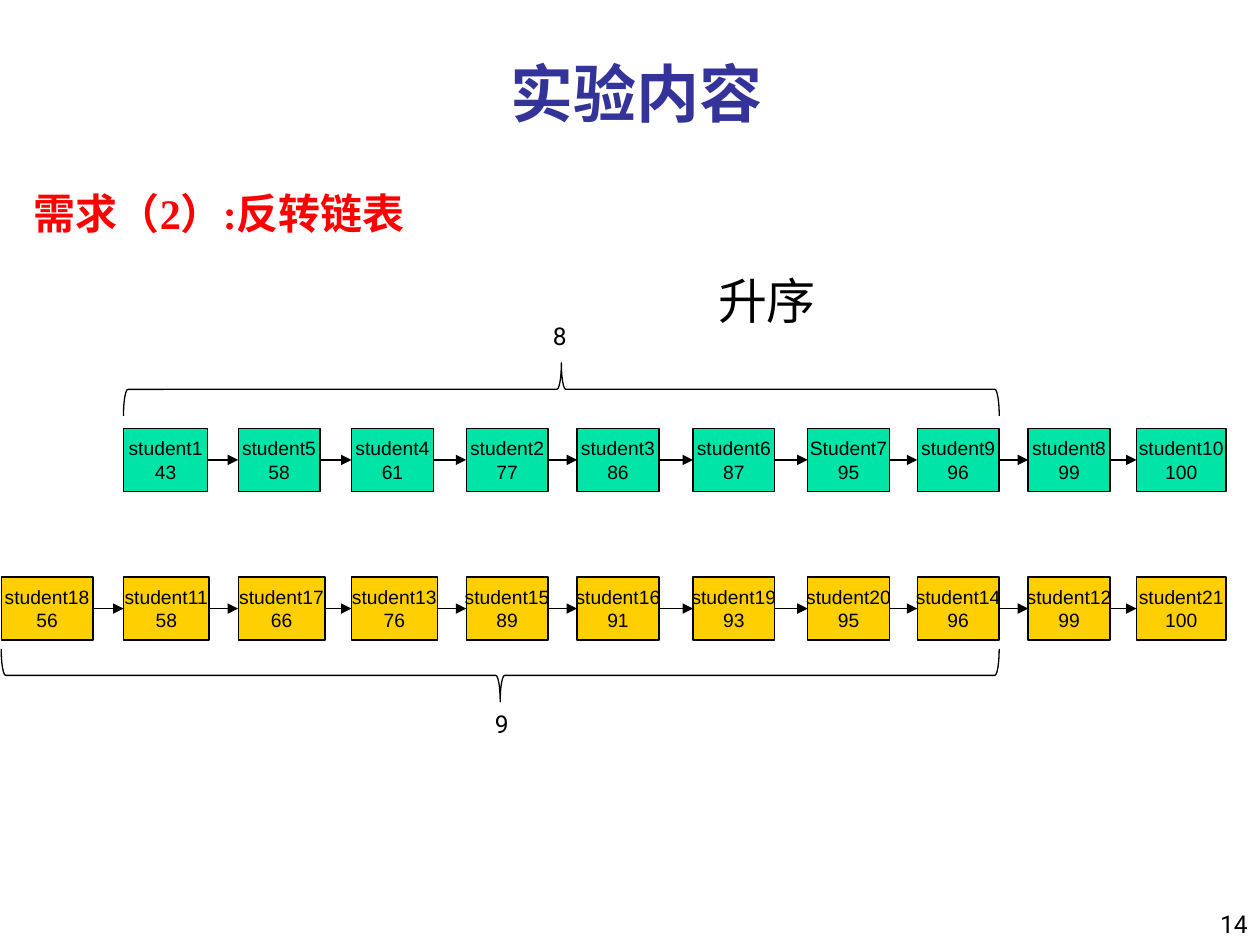
from lxml import etree
from pptx import Presentation
from pptx.dml.color import RGBColor
from pptx.enum.shapes import MSO_CONNECTOR, MSO_SHAPE
from pptx.enum.text import MSO_ANCHOR, MSO_AUTO_SIZE, PP_ALIGN
from pptx.oxml.ns import qn
from pptx.util import Inches, Pt

LEFT, CENTER, RIGHT = PP_ALIGN.LEFT, PP_ALIGN.CENTER, PP_ALIGN.RIGHT
TOP, BOTTOM = MSO_ANCHOR.TOP, MSO_ANCHOR.BOTTOM
LEFT_SIDE, RIGHT_SIDE = 1, 3
BLACK, GREEN, YELLOW = "000000", "00E4A8", "FFCF01"

FIRST_LIST = [
    ("student1", 43), ("student5", 58), ("student4", 61), ("student2", 77),
    ("student3", 86), ("student6", 87), ("Student7", 95), ("student9", 96),
    ("student8", 99), ("student10", 100),
]
SECOND_LIST = [
    ("student18", 56), ("student11", 58), ("student17", 66), ("student13", 76),
    ("student15", 89), ("student16", 91), ("student19", 93), ("student20", 95),
    ("student14", 96), ("student12", 99), ("student21", 100),
]
COLUMNS = [0.01, 0.98, 1.89, 2.79, 3.7, 4.58, 5.5, 6.41, 7.28, 8.16, 9.02]
FIRST_WIDTHS = [0.67] + [0.65] * 8 + [0.71]
SECOND_WIDTHS = [0.73, 0.68, 0.69, 0.68] + [0.65] * 6 + [0.71]
NODE_HEIGHT, BRACE_DEPTH = 0.5, 0.42
BRACE_END = 7.93

# text, (left, top, width, height), size, font, colour, bold, alignment, anchor
LABELS = [
    ("实验内容", (0.83, 0.25, 8.44, 0.83), 36, "Roboto", "333399", True, CENTER, BOTTOM),
    ("需求（2）:反转链表", (0.17, 1.44, 3.53, 0.5), 24, "Times New Roman", "FF0000", True, LEFT, TOP),
    ("8", (4.29, 2.5, 0.64, 0.34), 14, "Roboto", BLACK, False, LEFT, TOP),
    ("9", (3.83, 5.58, 0.64, 0.34), 14, "Roboto", BLACK, False, LEFT, TOP),
    ("14", (7.92, 7, 2.08, 0.5), 14, "Roboto", BLACK, False, RIGHT, BOTTOM),
    ("升序", (5.6, 2.1, 1.35, 0.57), 28, "Noto Sans CJK SC", BLACK, False, LEFT, TOP),
]


def rgb(code):
    return RGBColor.from_string(code)


def write(frame, text, size, font, color, bold=False, align=CENTER):
    frame.text = text
    for paragraph in frame.paragraphs:
        paragraph.alignment = align
        for run in paragraph.runs:
            run.font.size = Pt(size)
            run.font.name = font
            run.font.bold = bold
            run.font.color.rgb = rgb(color)


def outline(shape):
    shape.line.color.rgb = rgb(BLACK)
    shape.line.width = Pt(0.75)


def add_node(slide, left, top, width, student, score, fill):
    node = slide.shapes.add_shape(
        MSO_SHAPE.RECTANGLE, Inches(left), Inches(top), Inches(width), Inches(NODE_HEIGHT))
    node.shadow.inherit = False
    node.fill.solid()
    node.fill.fore_color.rgb = rgb(fill)
    outline(node)
    node.text_frame.word_wrap = False
    write(node.text_frame, f"{student}\n{score}", 11, "Arial", BLACK)
    return node


def add_link(slide, source, target):
    link = slide.shapes.add_connector(MSO_CONNECTOR.STRAIGHT, 0, 0, 0, 0)
    link.begin_connect(source, RIGHT_SIDE)
    link.end_connect(target, LEFT_SIDE)
    outline(link)
    etree.SubElement(link.line._get_or_add_ln(), qn("a:tailEnd"), type="triangle")
    etree.SubElement(link._element.spPr, qn("a:effectLst"))


def add_linked_list(slide, students, columns, widths, top, fill):
    nodes = [add_node(slide, left, top, width, *student, fill)
             for student, left, width in zip(students, columns, widths)]
    for source, target in zip(nodes, nodes[1:]):
        add_link(slide, source, target)


def add_brace(slide, start, end, middle, rotation):
    """Draw a brace lying on its side from start to end, centred on height middle."""
    span = end - start
    brace = slide.shapes.add_shape(
        MSO_SHAPE.LEFT_BRACE,
        Inches((start + end - BRACE_DEPTH) / 2), Inches(middle - span / 2),
        Inches(BRACE_DEPTH), Inches(span))
    brace.rotation = rotation
    brace.shadow.inherit = False
    brace.fill.background()
    outline(brace)


def add_label(slide, text, box, size, font, color, bold, align, anchor):
    frame = slide.shapes.add_textbox(*map(Inches, box)).text_frame
    frame.word_wrap = True
    frame.vertical_anchor = anchor
    if anchor == TOP:
        frame.auto_size = MSO_AUTO_SIZE.SHAPE_TO_FIT_TEXT
    write(frame, text, size, font, color, bold, align)


def main():
    deck = Presentation()
    deck.slide_width, deck.slide_height = Inches(10), Inches(7.5)
    slide = deck.slides.add_slide(deck.slide_layouts[6])
    add_linked_list(slide, FIRST_LIST, COLUMNS[1:], FIRST_WIDTHS, 3.4, GREEN)
    add_linked_list(slide, SECOND_LIST, COLUMNS, SECOND_WIDTHS, 4.58, YELLOW)
    add_brace(slide, COLUMNS[1], BRACE_END, 3.09, 90)
    add_brace(slide, COLUMNS[0], BRACE_END, 5.36, 270)
    for label in LABELS:
        add_label(slide, *label)
    deck.save("out.pptx")


if __name__ == "__main__":
    main()
